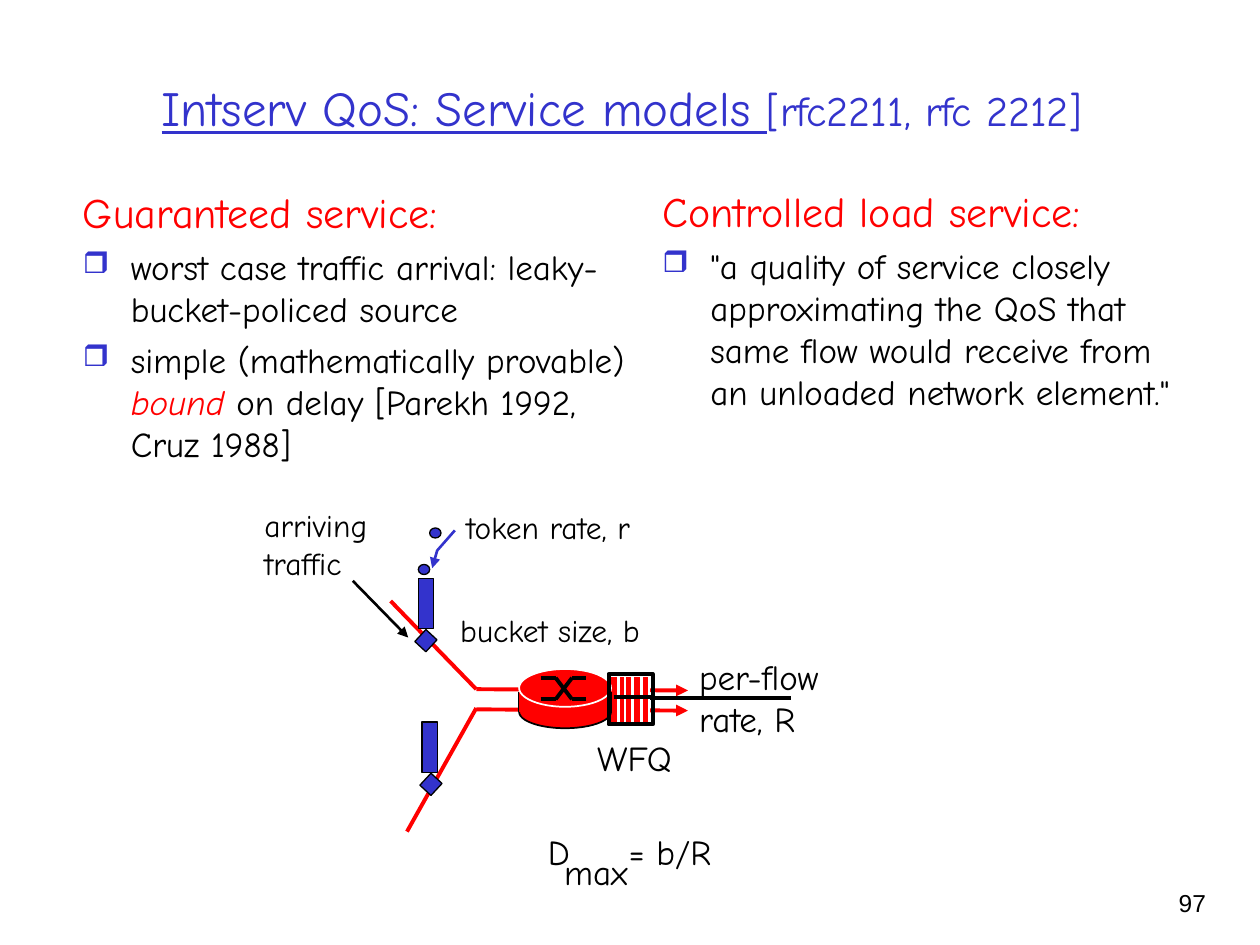
from dataclasses import dataclass
from typing import NamedTuple, Optional

from lxml.etree import SubElement
from pptx import Presentation
from pptx.dml.color import RGBColor as RGB
from pptx.enum.shapes import MSO_CONNECTOR as CONN, MSO_SHAPE as SHAPE
from pptx.enum.text import MSO_ANCHOR as ANCHOR, MSO_AUTO_SIZE as FIT, PP_ALIGN as ALIGN
from pptx.oxml.ns import qn
from pptx.util import Inches, Pt


@dataclass(frozen=True)
class Theme:
    """Colours, fonts and type sizes of the slide."""
    blue: RGB = RGB(0x33, 0x33, 0xCC)
    red: RGB = RGB(0xFF, 0, 0)
    black: RGB = RGB(0, 0, 0)
    white: RGB = RGB(0xFF, 0xFF, 0xFF)
    font: str = "Comic Neue"
    number_font: str = "Arial"
    title: int = 28
    heading: int = 24
    body: int = 20
    label: int = 18
    number: int = 14


T = Theme()


class Run(NamedTuple):
    text: str
    size: float = T.body
    color: RGB = T.black
    font: str = T.font
    style: dict = {}


class Para(NamedTuple):
    runs: list
    align: ALIGN = ALIGN.LEFT
    before: float = 0
    bullet: str = ""
    tab: float = 0


class Text(NamedTuple):
    box: tuple
    paras: list
    wrap: bool = False


class Block(NamedTuple):
    kind: SHAPE
    box: tuple
    fill: Optional[RGB] = T.red
    line: Optional[RGB] = T.black
    width: float = 0.75
    angle: float = 0


class Link(NamedTuple):
    points: list
    color: RGB = T.black
    width: float = 2.25
    arrow: bool = False


def set_all(obj, values: dict) -> None:
    """Set each named attribute on obj."""
    for name, value in values.items():
        setattr(obj, name, value)


def fill_para(p, para: Para) -> None:
    """Write one paragraph with its runs, bullet and tab stop."""
    set_all(p, {"alignment": para.align, "space_before": Pt(para.before)})
    pPr = p._p.get_or_add_pPr()
    if para.bullet:
        pPr.set("marL", str(Inches(0.38)))
        pPr.set("indent", str(-Inches(0.38)))
        clr = SubElement(pPr, qn("a:buClr"))
        SubElement(clr, qn("a:srgbClr"), val=str(T.blue))
        SubElement(pPr, qn("a:buSzPct"), val="85000")
        SubElement(pPr, qn("a:buChar"), char=para.bullet)
    if para.tab:
        tabs = SubElement(pPr, qn("a:tabLst"))
        SubElement(tabs, qn("a:tab"), pos=str(Inches(para.tab)), algn="l")
    for run in para.runs:
        r = p.add_run()
        r.text = run.text
        set_all(r.font, {"name": run.font, "size": Pt(run.size), **run.style})
        r.font.color.rgb = run.color


def fill_text(sp, paras: list, **frame) -> None:
    """Write the paragraphs into a shape's text frame."""
    tf = sp.text_frame
    set_all(tf, {"auto_size": FIT.NONE, **frame})
    for i, para in enumerate(paras):
        fill_para(tf.add_paragraph() if i else tf.paragraphs[0], para)


def draw_text(s, text: Text) -> None:
    """Add a text box."""
    sp = s.shapes.add_textbox(*map(Inches, text.box))
    fill_text(sp, text.paras, word_wrap=text.wrap, vertical_anchor=ANCHOR.TOP)


def draw_block(s, block: Block) -> None:
    """Add a preset shape."""
    sp = s.shapes.add_shape(block.kind, *map(Inches, block.box))
    sp.shadow.inherit = False
    sp.rotation = block.angle
    for part, color in ((sp.fill, block.fill), (sp.line.fill, block.line)):
        if color is None:
            part.background()
        else:
            part.solid()
            part.fore_color.rgb = color
    if block.line is not None:
        sp.line.width = Pt(block.width)


def draw_link(s, link: Link) -> None:
    """Add a straight connector, or an open outline for a bent line."""
    pts = [(Inches(x), Inches(y)) for x, y in link.points]
    if len(pts) == 2:
        sp = s.shapes.add_connector(CONN.STRAIGHT, *pts[0], *pts[1])
        SubElement(sp._element.spPr, qn("a:effectLst"))
    else:
        builder = s.shapes.build_freeform(*pts[0])
        sp = builder.add_line_segments(pts[1:], close=False).convert_to_shape()
        sp.fill.background()
        sp.shadow.inherit = False
    sp.line.color.rgb = link.color
    sp.line.width = Pt(link.width)
    if link.arrow:
        SubElement(sp.line._get_or_add_ln(), qn("a:tailEnd"), type="triangle")


def heading(text: str) -> Para:
    """Return a red column heading."""
    return Para([Run(text, T.heading, T.red)], before=6)


def bullet(*runs: Run) -> Para:
    """Return a bulleted paragraph."""
    return Para(list(runs), before=5, bullet="❒")


def label(box: tuple, *lines: str, size: float = T.label, align=ALIGN.LEFT, tab: float = 0) -> Text:
    """Return a diagram label with one paragraph per line."""
    return Text(box, [Para([Run(line, size)], align, tab=tab) for line in lines])


def bucket(x: float, y: float, shift: float) -> list:
    """Return a token bucket and the gate below it."""
    return [Block(SHAPE.RECTANGLE, (x + shift, y + 0.43, 0.12, 0.13), T.blue, angle=42.9),
            Block(SHAPE.RECTANGLE, (x, y, 0.12, 0.4), T.blue)]


COLUMNS = [
    Text((0.56, 1.43, 4.58, 2.4), [
        heading("Guaranteed service:"),
        bullet(Run("worst case traffic arrival: leaky-bucket-policed source")),
        bullet(Run("simple (mathematically provable) "),
               Run("bound", color=T.red, style={"italic": True}),
               Run(" on delay [Parekh 1992, Cruz 1988]"))], True),
    Text((5.16, 1.42, 4.37, 2.4), [
        heading("Controlled load service:"),
        bullet(Run('"a quality of service closely approximating the QoS that '
                   'same flow would receive from an unloaded network element."'))], True),
]
FLOWS = [
    Link([(3.1, 4.77), (3.78, 5.47)], T.red),
    Link([(3.78, 5.47), (5.46, 5.48)], T.red, arrow=True),
    Link([(3.78, 5.63), (5.46, 5.64)], T.red, arrow=True),
    Link([(3.23, 6.6), (3.78, 5.62)], T.red),
    Link([(5.06, 5.54), (6.28, 5.54)]),
]
QUEUE = [Block(SHAPE.RECTANGLE, (4.83, 5.36, 0.32, 0.38), line=T.white, width=1.5)]
QUEUE += [Link([(x, 5.73), (x, 5.35)], T.white, 1.5) for x in (4.91, 4.96, 5.02, 5.09)]
ROUTER = [
    Block(SHAPE.OVAL, (4.12, 5.52, 0.73, 0.26), width=1),
    *(Link([(x, 5.49), (x, 5.65)], width=1) for x in (4.12, 4.85)),
    Block(SHAPE.RECTANGLE, (4.12, 5.49, 0.72, 0.16), line=None),
    Block(SHAPE.OVAL, (4.12, 5.31, 0.73, 0.3), line=T.white, width=1),
]
for start, end in ((5.38, 5.55), (5.55, 5.38)):
    stops = [(4.29, start), (4.41, start), (4.54, end), (4.65, end)]
    ROUTER += [Link([a, b]) for a, b in zip(stops, stops[1:])]
FRAME = [Block(SHAPE.RECTANGLE, (4.83, 5.35, 0.35, 0.4), None, width=2.25),
         Link([(4.87, 5.53), (5.2, 5.53)])]
TOKENS = [Block(SHAPE.OVAL, (x, y, 0.09, 0.08), T.blue) for x, y in ((3.32, 4.48), (3.41, 4.19))]
TOKENS += [Link([(3.61, 4.21), (3.47, 4.37), (3.43, 4.51)], T.blue, 1.5, True),
           *bucket(3.35, 5.73, 0.01), *bucket(3.32, 4.59, 0),
           Link([(2.8, 4.61), (3.24, 5.06)], width=1.5, arrow=True)]
LABELS = [
    label((4.59, 5.8, 0.89, 0.44), "WFQ", size=T.body, align=ALIGN.CENTER),
    label((3.59, 3.98, 1.52, 0.4), "token rate, r", align=ALIGN.CENTER),
    label((3.55, 4.8, 1.63, 0.4), "bucket size, b", align=ALIGN.CENTER),
    label((5.45, 5.15, 1.16, 0.77), "per-flow", "rate, R", size=T.body),
    label((4.25, 6.54, 1.5, 0.44), "D\t= b/R", size=T.body, tab=0.64),
    label((4.38, 6.7, 0.7, 0.44), "max", size=T.body, align=ALIGN.CENTER),
    label((2, 3.97, 1.01, 0.7), "arriving", "traffic"),
]
NUMBER = Text((8.93, 7, 0.74, 0.5), [Para([Run("97", T.number, font=T.number_font)], ALIGN.RIGHT)], True)
DRAW = {Text: draw_text, Block: draw_block, Link: draw_link}


def main() -> None:
    """Build the slide and save it."""
    prs = Presentation()
    set_all(prs, {"slide_width": Inches(10), "slide_height": Inches(7.5)})
    s = prs.slides.add_slide(prs.slide_layouts[5])
    title = s.shapes.title
    set_all(title, dict(zip(("left", "top", "width", "height"), map(Inches, (0.55, 0.22, 8.77, 1.25)))))
    fill_text(title, [Para([
        Run("Intserv QoS: Service models ", T.title, T.blue, style={"underline": True}),
        Run("[rfc2211, rfc 2212]", T.heading, T.blue)], ALIGN.CENTER)],
        word_wrap=True, vertical_anchor=ANCHOR.MIDDLE)
    for item in [*COLUMNS, *FLOWS, *QUEUE, *ROUTER, *FRAME, *TOKENS, *LABELS, NUMBER]:
        DRAW[type(item)](s, item)
    prs.save("out.pptx")


if __name__ == "__main__":
    main()
